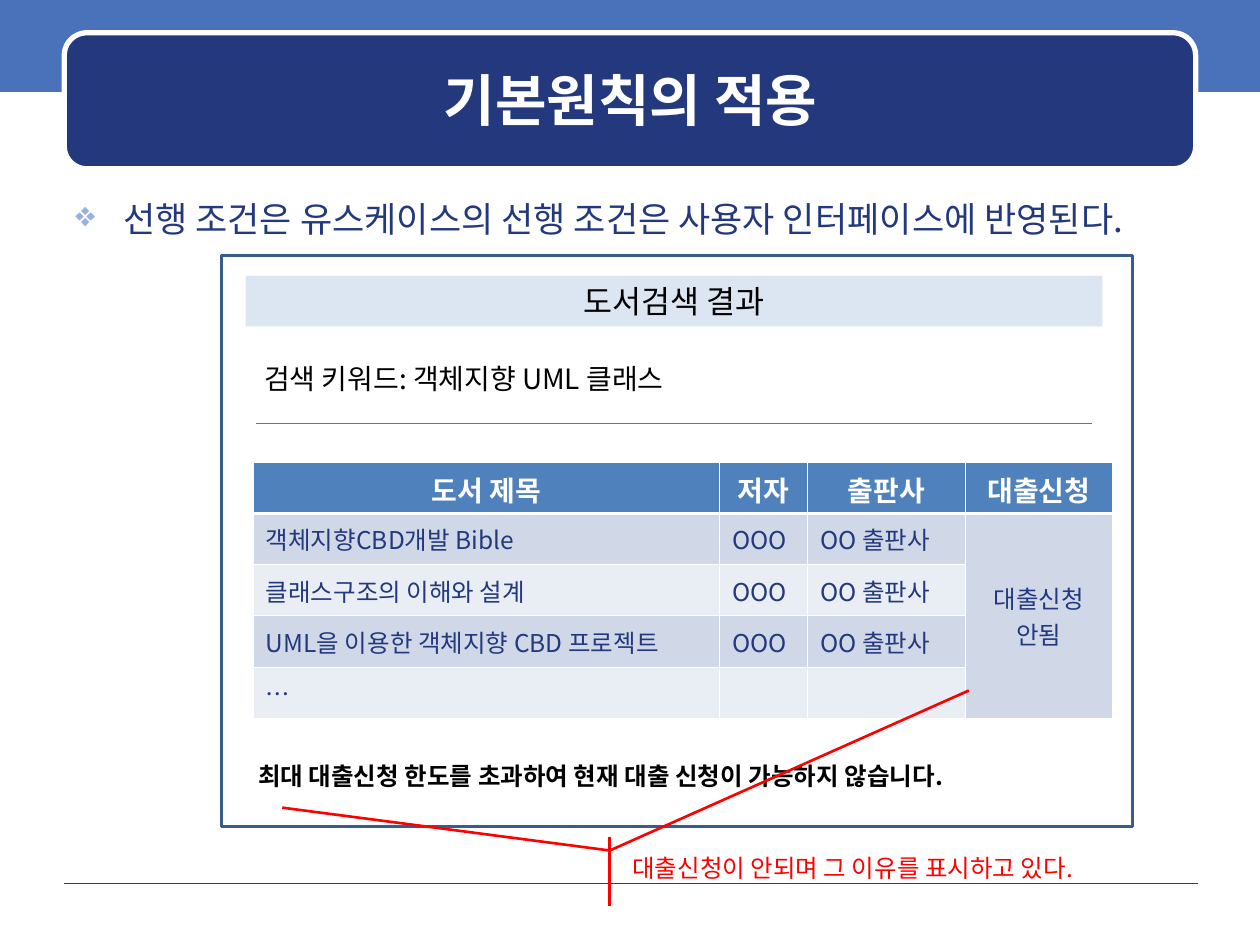
import collections
import dataclasses

import pptx
import pptx.dml.color
import pptx.enum.shapes
import pptx.enum.text
import pptx.oxml.ns
import pptx.util
from lxml import etree

Inches = pptx.util.Inches
Pt = pptx.util.Pt
Kind = pptx.enum.shapes.MSO_SHAPE
Align = pptx.enum.text.PP_ALIGN
Anchor = pptx.enum.text.MSO_ANCHOR
qn = pptx.oxml.ns.qn
Box = collections.namedtuple("Box", "x y w h")


@dataclasses.dataclass(frozen=True)
class Theme:
    """Colours, type sizes and font of the slide."""

    face: str = "Noto Sans CJK KR"
    white: str = "FFFFFF"
    black: str = "000000"
    navy: str = "23387D"
    band: str = "4972BB"
    rule: str = "1A3D97"
    bullet: str = "96B1E6"
    frame: str = "385D8A"
    split: str = "4A7EBB"
    bar: str = "DCE6F2"
    head: str = "4F81BD"
    rows: tuple = ("D0D8E8", "E9EDF4")
    alert: str = "FF0000"
    title: int = 32
    lead: int = 20
    label: int = 18
    text: int = 16
    small: int = 14


THEME = Theme()
HEADS = ["도서 제목", "저자", "출판사", "대출신청"]
BOOKS = [
    ["객체지향CBD개발 Bible", "OOO", "OO 출판사", "대출신청 안됨"],
    ["클래스구조의 이해와 설계", "OOO", "OO 출판사", ""],
    ["UML을 이용한 객체지향 CBD 프로젝트", "OOO", "OO 출판사", ""],
    ["…", "", "", ""],
]
WIDTHS = [3.7, 0.7, 1.25, 1.17]


def color(code):
    """Turn a hex code into a colour."""
    return pptx.dml.color.RGBColor.from_string(code)


def write(frame, text, size, ink, bold=False, align=Align.LEFT, space=None):
    """Put one styled paragraph into a text frame and return it."""
    frame.text = text
    para = frame.paragraphs[0]
    para.alignment = align
    para.line_spacing = space
    for run in para.runs:
        run.font.size = Pt(size)
        run.font.bold = bold
        run.font.name = THEME.face
        run.font.color.rgb = color(ink)
        east = etree.SubElement(run.font._element, qn("a:ea"))
        east.set("typeface", THEME.face)
    if not text:
        end = etree.SubElement(para._p, qn("a:endParaRPr"))
        end.set("sz", str(size * 100))
    return para


def label(slide, box, text, size, ink, anchor=Anchor.TOP, wrap=True, **style):
    """Add a text box and return its paragraph."""
    frame = slide.shapes.add_textbox(*map(Inches, box)).text_frame
    frame.word_wrap = wrap
    frame.vertical_anchor = anchor
    return write(frame, text, size, ink, **style)


def block(slide, box, fill=None, line=None, width=0, kind=Kind.RECTANGLE):
    """Add a flat shape with an optional fill and outline."""
    shape = slide.shapes.add_shape(kind, *map(Inches, box))
    shape.shadow.inherit = False
    if fill:
        shape.fill.solid()
        shape.fill.fore_color.rgb = color(fill)
    else:
        shape.fill.background()
    if line:
        shape.line.color.rgb = color(line)
        shape.line.width = Pt(width)
    else:
        shape.line.fill.background()
    return shape


def stroke(slide, start, end, ink, width):
    """Add a straight line without a shadow."""
    line = slide.shapes.add_connector(
        pptx.enum.shapes.MSO_CONNECTOR.STRAIGHT, *map(Inches, start + end))
    line.line.color.rgb = color(ink)
    line.line.width = Pt(width)
    etree.SubElement(line._element.spPr, qn("a:effectLst"))


def header(slide, box):
    """Draw the top band and the title plate."""
    block(slide, Box(0, -0.03, 10, 0.76), THEME.band)
    block(slide, box, THEME.navy, THEME.white, 3, Kind.ROUNDED_RECTANGLE)
    inner = Box(box.x + 0.09, box.y + 0.09, box.w - 0.17, box.h - 0.2)
    label(slide, inner, "기본원칙의 적용", THEME.title, THEME.white,
          Anchor.MIDDLE, bold=True, align=Align.CENTER)


def lead(slide, box):
    """Write the bulleted statement."""
    para = label(slide, box, "선행 조건은 유스케이스의 선행 조건은 사용자 인터페이스에 반영된다.",
                 THEME.lead, THEME.navy, space=0.8)
    props = para._p.get_or_add_pPr()
    props.set("marL", str(Inches(0.38)))
    props.set("indent", str(-Inches(0.38)))
    tint = etree.SubElement(props, qn("a:buClr"))
    etree.SubElement(tint, qn("a:srgbClr")).set("val", THEME.bullet)
    etree.SubElement(props, qn("a:buChar")).set("char", "❖")


def border(cell, row):
    """Give a cell white borders, heavier below the head row."""
    props = cell._tc.get_or_add_tcPr()
    heavy = {0: "lnB", 1: "lnT"}.get(row)
    for side in ("lnL", "lnR", "lnT", "lnB"):
        edge = etree.SubElement(props, qn("a:" + side))
        edge.set("w", str(Pt(1.5 if side == heavy else 0.5)))
        fill = etree.SubElement(edge, qn("a:solidFill"))
        etree.SubElement(fill, qn("a:srgbClr")).set("val", THEME.white)


def books(slide, box):
    """Build the table of found books."""
    data = [HEADS] + BOOKS
    grid = slide.shapes.add_table(
        len(data), len(HEADS), *map(Inches, box)).table
    for col, width in zip(grid.columns, WIDTHS):
        col.width = Inches(width)
    last = len(HEADS) - 1
    for r, texts in enumerate(data):
        grid.rows[r].height = Inches(box.h / len(data))
        for c, text in enumerate(texts):
            cell = grid.cell(r, c)
            border(cell, r)
            cell.fill.solid()
            if r == 0:
                cell.fill.fore_color.rgb = color(THEME.head)
                write(cell.text_frame, text, THEME.text, THEME.white,
                      True, Align.CENTER)
            else:
                tone = 0 if c == last else (r - 1) % 2
                cell.fill.fore_color.rgb = color(THEME.rows[tone])
                cell.vertical_anchor = Anchor.MIDDLE
                write(cell.text_frame, text, THEME.small, THEME.navy,
                      align=Align.CENTER if c == last else Align.LEFT)
    grid.cell(1, last).merge(grid.cell(len(data) - 1, last))


def screen(slide, box):
    """Draw the search result window."""
    x, y = box.x, box.y
    block(slide, box, line=THEME.frame, width=2)
    label(slide, Box(x + 0.24, y + 0.86, 3.64, 0.29), "검색 키워드: 객체지향 UML 클래스",
          THEME.text, THEME.black, wrap=False, space=0.7)
    books(slide, Box(x + 0.25, y + 1.64, sum(WIDTHS), 2.03))
    bar = block(slide, Box(x + 0.19, y + 0.16, 6.8, 0.4), THEME.bar)
    bar.text_frame.vertical_anchor = Anchor.TOP
    write(bar.text_frame, "도서검색 결과", THEME.label, THEME.black,
          align=Align.CENTER)
    stroke(slide, (x + 0.27, y + 1.33), (x + 6.91, y + 1.33),
           THEME.split, 0.75)
    label(slide, Box(x + 0.19, y + 3.96, 6.72, 0.34),
          "최대 대출신청 한도를 초과하여 현재 대출 신청이 가능하지 않습니다.",
          THEME.small, THEME.black, bold=True)


def callout(slide, box, tips):
    """Write the red remark and lead lines from it to the tips."""
    label(slide, box, "대출신청이 안되며 그 이유를 표시하고 있다.", THEME.small,
          THEME.alert, Anchor.MIDDLE, space=0.7)
    stem = box.x - 0.08
    stroke(slide, (stem, box.y), (stem, box.y + box.h), THEME.alert, 1.5)
    for tip in tips:
        stroke(slide, tip, (stem, box.y + 0.11), THEME.alert, 1.5)


def main():
    """Build the slide and save it."""
    deck = pptx.Presentation()
    deck.slide_width, deck.slide_height = Inches(10), Inches(7.5)
    slide = deck.slides.add_slide(deck.slide_layouts[6])
    header(slide, Box(0.51, 0.26, 8.98, 1.08))
    stroke(slide, (0.51, 7.01), (9.51, 7.01), THEME.rule, 0.25)
    lead(slide, Box(0.5, 1.58, 9, 0.68))
    screen(slide, Box(1.76, 2.03, 7.23, 4.53))
    callout(slide, Box(4.92, 6.64, 4.06, 0.55), [(2.24, 6.41), (7.69, 5.48)])
    deck.save("out.pptx")


if __name__ == "__main__":
    main()
